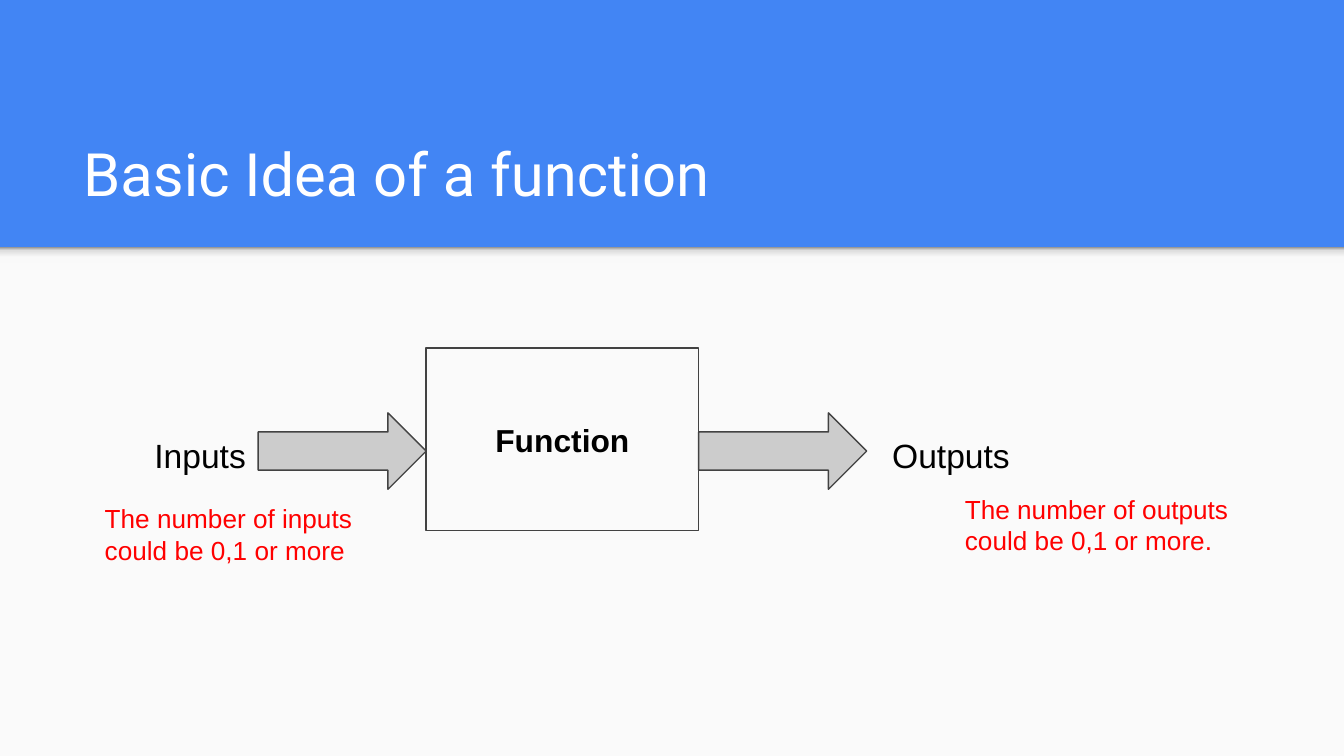
from pptx import Presentation
from pptx.dml.color import RGBColor
from pptx.enum.shapes import MSO_SHAPE as Shape
from pptx.enum.text import MSO_ANCHOR as Anchor, PP_ALIGN as Align
from pptx.oxml.ns import qn
from pptx.util import Pt
from lxml.etree import SubElement

COLORS = {
    "header": "4285F4", "body": "FAFAFA", "title": "FFFFFF", "text": "000000",
    "note": "FF0000", "outline": "424242", "arrow": "CCCCCC",
}
SHADOW_STOPS = [(0, "F9F9F9"), (36, "F9F9F9"), (80, "DEDEDE"), (100, "999999")]


def rgb(name):
    """Return the palette colour of that name."""
    return RGBColor.from_string(COLORS[name])


def write(shape, text, size, color, font="Arial", bold=False, align=Align.LEFT, anchor=Anchor.TOP):
    """Put one formatted run into a shape."""
    frame = shape.text_frame
    frame.word_wrap = True
    frame.vertical_anchor = anchor
    frame.margin_left = frame.margin_right = frame.margin_top = frame.margin_bottom = Pt(7.2)
    paragraph = frame.paragraphs[0]
    paragraph.alignment = align
    run = paragraph.add_run()
    run.text = text
    run.font.name, run.font.size, run.font.bold = font, Pt(size), bold
    run.font.color.rgb = rgb(color)


def add_panel(slide, kind, box, fill=None, outline=None):
    """Add a flat shape with an optional fill and outline."""
    shape = slide.shapes.add_shape(kind, *map(Pt, box))
    shape.shadow.inherit = False
    if fill:
        shape.fill.solid()
        shape.fill.fore_color.rgb = rgb(fill)
    else:
        shape.fill.background()
    if outline:
        shape.line.color.rgb = rgb(outline)
        shape.line.width = Pt(0.75)
    else:
        shape.line.fill.background()
    return shape


def add_label(slide, box, text, size, color):
    """Add a text box with one line of formatting."""
    write(slide.shapes.add_textbox(*map(Pt, box)), text, size, color)


def add_backdrop(slide, box):
    """Draw the light body area with the header's shadow along its top."""
    left, top, width, height = box
    add_panel(slide, Shape.RECTANGLE, box, "body")
    shadow = add_panel(slide, Shape.RECTANGLE, (left, top, width, 8.6))
    shadow.fill.gradient()
    shadow.fill.gradient_angle = 90
    stops = shadow._element.spPr.find(qn("a:gradFill")).find(qn("a:gsLst"))
    for stop in list(stops):
        stops.remove(stop)
    for position, color in SHADOW_STOPS:
        stop = SubElement(stops, qn("a:gs"), pos=str(position * 1000))
        SubElement(stop, qn("a:srgbClr"), val=color)


def add_title(slide, box, text):
    """Move and format the title placeholder."""
    title = slide.shapes.title
    title.left, title.top, title.width, title.height = map(Pt, box)
    write(title, text, 32, "title", font="Roboto", anchor=Anchor.BOTTOM)


def add_function_diagram(slide, box):
    """Draw the function box with an arrow in and an arrow out."""
    left, top, width, height = box
    arrow_width, arrow_height, arrow_top = 90, 41, top + 34.8
    block_width = width - 2 * arrow_width
    block = add_panel(slide, Shape.RECTANGLE, (left + arrow_width, top, block_width, height),
                      outline="outline")
    write(block, "Function", 17, "text", bold=True, align=Align.CENTER, anchor=Anchor.MIDDLE)
    for arrow_left in (left, left + width - arrow_width):
        add_panel(slide, Shape.RIGHT_ARROW, (arrow_left, arrow_top, arrow_width, arrow_height),
                  "arrow", "outline")


def add_side(slide, label_box, label, note_box, note):
    """Add the name of one side of the function and its red note."""
    add_label(slide, label_box, label, 18, "text")
    add_label(slide, note_box, note, 14, "note")


def main():
    """Build and save the slide."""
    presentation = Presentation()
    presentation.slide_width, presentation.slide_height = Pt(720), Pt(405)
    slide = presentation.slides.add_slide(presentation.slide_layouts[5])
    slide.background.fill.solid()
    slide.background.fill.fore_color.rgb = rgb("header")
    add_backdrop(slide, (0, 132.5, 720, 272.5))
    add_title(slide, (37.4, 58.3, 647.3, 60.5), "Basic Idea of a function")
    add_function_diagram(slide, (138.3, 186.4, 326, 98))
    add_side(slide, (75.6, 226, 66.3, 31), "Inputs",
             (49, 262, 166.3, 51.8), "The number of inputs could be 0,1 or more")
    add_side(slide, (470.9, 226, 95, 31), "Outputs",
             (509.8, 257, 166.3, 51.8), "The number of outputs could be 0,1 or more.")
    presentation.save("out.pptx")


if __name__ == "__main__":
    main()
